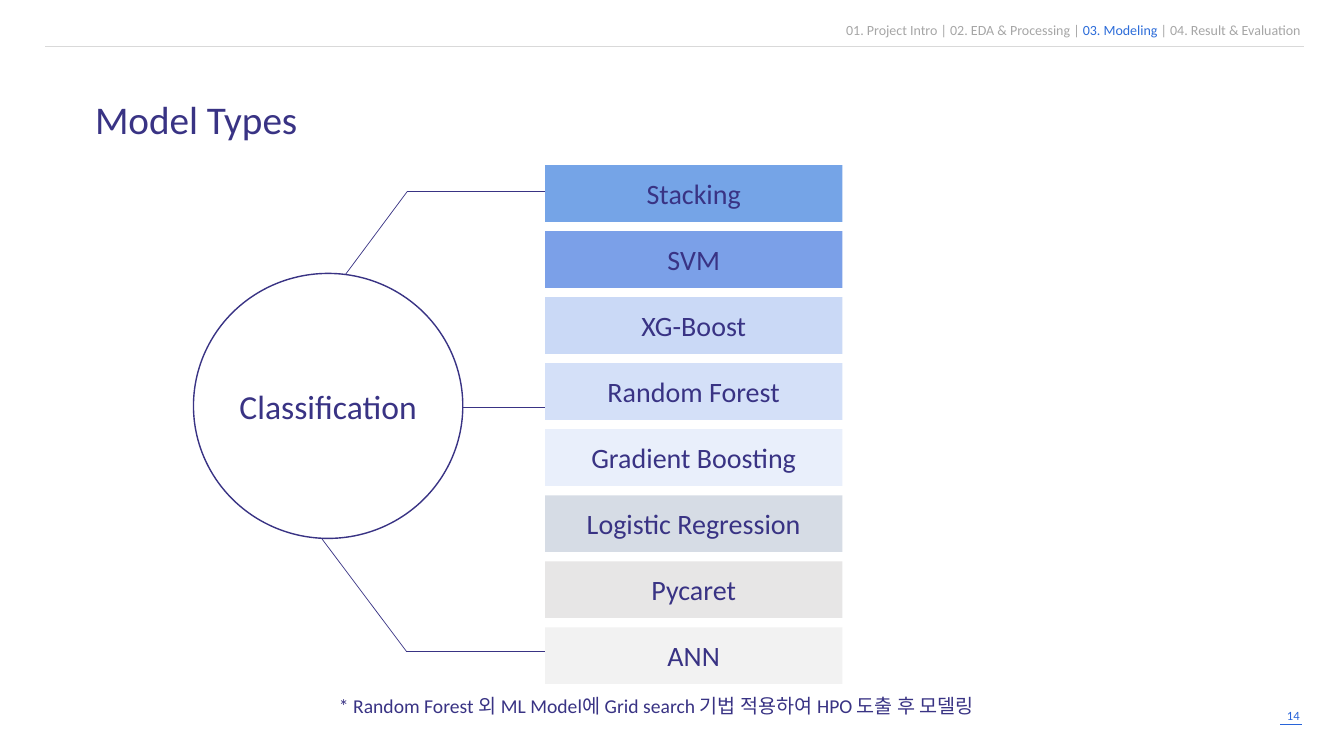
import pptx
import pptx.util
import pptx.dml.color
import pptx.enum.shapes
import pptx.enum.text
import pptx.oxml
import pptx.oxml.ns

Pt = pptx.util.Pt
SHAPE = pptx.enum.shapes.MSO_SHAPE
ALIGN = pptx.enum.text.PP_ALIGN
NAVY, BLUE, GREY = "393384", "2864D9", "A6A6A6"


def rgb(value):
    return pptx.dml.color.RGBColor.from_string(value)


def write(s, *runs, size, color=NAVY, align=ALIGN.LEFT, anchor="TOP", margin=7.2):
    """Fill a shape with one paragraph; a run is a text or a (text, color) pair."""
    tf = s.text_frame
    tf.word_wrap = True
    tf.vertical_anchor = pptx.enum.text.MSO_ANCHOR[anchor]
    tf.margin_left = tf.margin_right = Pt(margin)
    p = tf.paragraphs[0]
    p.alignment = align
    for run in runs:
        text, tint = (run, color) if isinstance(run, str) else run
        r = p.add_run()
        r.text = text
        r.font.name = "Calibri"
        r.font.size = Pt(size)
        r.font.color.rgb = rgb(tint)


prs = pptx.Presentation()
prs.slide_width, prs.slide_height = Pt(960), Pt(540)
slide = prs.slides.add_slide(prs.slide_layouts[6])
shapes = slide.shapes

# Rules and branches: x1, y1, x2, y2, colour, width
lines = [
    (32.4, 33.2, 931.7, 33.2, "D9D9D9", 0.5),
    (914.4, 517, 930.2, 517, BLUE, 0.25),
    (228.2, 221, 290.9, 136.8, NAVY, 0.5),
    (290.9, 136.8, 422.6, 136.8, NAVY, 0.5),
    (227.5, 381.6, 290.2, 465.1, NAVY, 0.5),
    (290.2, 465.1, 422.6, 465.1, NAVY, 0.5),
    (330.5, 290.9, 394.6, 290.9, NAVY, 0.5),
]
for x1, y1, x2, y2, color, width in lines:
    line = shapes.add_connector(
        pptx.enum.shapes.MSO_CONNECTOR.STRAIGHT, Pt(x1), Pt(y1), Pt(x2), Pt(y2))
    line.line.color.rgb = rgb(color)
    line.line.width = Pt(width)
    line._element.spPr.append(pptx.oxml.parse_xml(
        f'<a:effectLst {pptx.oxml.ns.nsdecls("a")}/>'))

# Header, title, footnote and page number
header = shapes.add_textbox(Pt(500.4), Pt(11.5), Pt(435.6), Pt(24))
write(header, "01. Project Intro | 02. EDA & Processing | ", ("03. Modeling ", "2C6CD9"),
      "| 04. Result & Evaluation", size=10, color=GREY, align=ALIGN.RIGHT)
title = shapes.add_textbox(Pt(60.8), Pt(64.4), Pt(216), Pt(41))
write(title, "Model Types", size=28)
footnote = shapes.add_textbox(Pt(235), Pt(491.8), Pt(522), Pt(24.5))
write(footnote, "* Random Forest 외 ML Model에 Grid search 기법 적용하여 HPO 도출 후 모델링", size=14)
page = shapes.add_textbox(Pt(909.4), Pt(502), Pt(26), Pt(18))
write(page, "14", size=9, color=BLUE, align=ALIGN.RIGHT)

# Hub of the diagram
hub = shapes.add_shape(SHAPE.FLOWCHART_CONNECTOR, Pt(138.2), Pt(195.3), Pt(192.4), Pt(189.3))
hub.shadow.inherit = False
hub.fill.solid()
hub.fill.fore_color.rgb = rgb("FFFFFF")
hub.line.color.rgb = rgb(NAVY)
hub.line.width = Pt(1)
write(hub, "Classification", size=24, align=ALIGN.CENTER, anchor="MIDDLE", margin=0)

# Stack of models
models = [
    ("Stacking", "75A4E7"),
    ("SVM", "7BA0E8"),
    ("XG-Boost", "CAD9F6"),
    ("Random Forest", "D4E0F8"),
    ("Gradient Boosting", "E9EFFB"),
    ("Logistic Regression", "D6DCE5"),
    ("Pycaret", "E7E6E6"),
    ("ANN", "F2F2F2"),
]
for i, (name, fill) in enumerate(models):
    box = shapes.add_shape(SHAPE.RECTANGLE, Pt(389.3), Pt(118 + 47.15 * i), Pt(212.4), Pt(40.5))
    box.shadow.inherit = False
    box.fill.solid()
    box.fill.fore_color.rgb = rgb(fill)
    box.line.fill.background()
    write(box, name, size=20, align=ALIGN.CENTER, anchor="MIDDLE")

prs.save("out.pptx")
